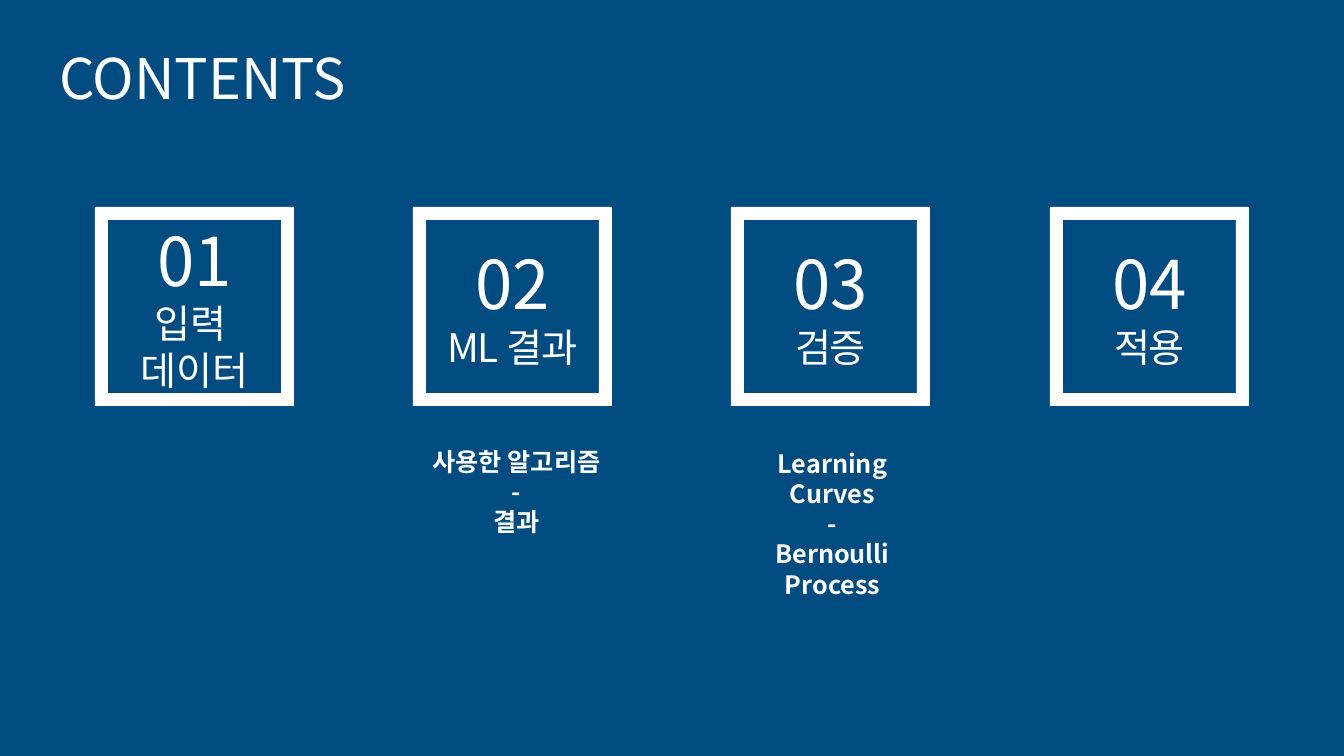
import pptx
import pptx.util
import pptx.dml.color
import pptx.enum.shapes
import pptx.enum.text
import lxml.etree

PX = 12192000 / 1344
FONT = "Noto Sans CJK KR"
COLORS = {"background": "004C80", "white": "FFFFFF"}
ALIGN = pptx.enum.text.PP_ALIGN
ANCHOR = pptx.enum.text.MSO_ANCHOR


def px(n):
    return pptx.util.Emu(round(n * PX))


def write(tf, lines, align=ALIGN.CENTER):
    for i, (text, size, bold, spacing) in enumerate(lines):
        p = tf.paragraphs[0] if i == 0 else tf.add_paragraph()
        p.text = text
        p.alignment = align
        p.font.size = pptx.util.Pt(size)
        p.font.bold = bold
        p.font.name = FONT
        p.font.color.rgb = pptx.dml.color.RGBColor.from_string(COLORS["white"])
        props = p.font._element
        ea = lxml.etree.SubElement(props, pptx.oxml.ns.qn("a:ea"))
        ea.set("typeface", FONT)
        if spacing:
            props.set("spc", str(spacing))


prs = pptx.Presentation()
prs.slide_width = px(1344)
prs.slide_height = px(756)
s = prs.slides.add_slide(prs.slide_layouts[5])
s.background.fill.solid()
s.background.fill.fore_color.rgb = pptx.dml.color.RGBColor.from_string(COLORS["background"])

title = s.shapes.title
title.left, title.top, title.width, title.height = px(49), px(42), px(350), px(78)
tf = title.text_frame
tf.auto_size = pptx.enum.text.MSO_AUTO_SIZE.NONE
tf.vertical_anchor = ANCHOR.MIDDLE
write(tf, [("CONTENTS", 40, False, 0)], ALIGN.JUSTIFY)
tf.paragraphs[0].line_spacing = 0.9
tf.paragraphs[0].space_before = pptx.util.Pt(10)

sections = [
    ("01", ["입력 ", "데이터"], 0),
    ("02", ["ML 결과"], -100),
    ("03", ["검증"], -100),
    ("04", ["적용"], -100),
]
for i, (number, labels, spacing) in enumerate(sections):
    sp = s.shapes.add_shape(
        pptx.enum.shapes.MSO_SHAPE.FRAME, px(95 + 955 * i // 3), px(207), px(199), px(199)
    )
    sp.adjustments[0] = 0.065
    sp.shadow.inherit = False
    sp.fill.solid()
    sp.fill.fore_color.rgb = pptx.dml.color.RGBColor.from_string(COLORS["white"])
    sp.line.fill.background()
    sp.text_frame.vertical_anchor = ANCHOR.MIDDLE
    write(sp.text_frame, [(number, 48, False, 0)] + [(t, 28, False, spacing) for t in labels])

details = [
    (413, 441, 207, 102, ["사용한 알고리즘", "-", "결과"]),
    (733, 443, 199, 163, ["Learning", "Curves", "-", "Bernoulli", "Process"]),
]
for left, top, width, height, lines in details:
    sp = s.shapes.add_textbox(px(left), px(top), px(width), px(height))
    sp.text_frame.word_wrap = True
    write(sp.text_frame, [(t, 18, True, 0) for t in lines])

prs.save("out.pptx")
